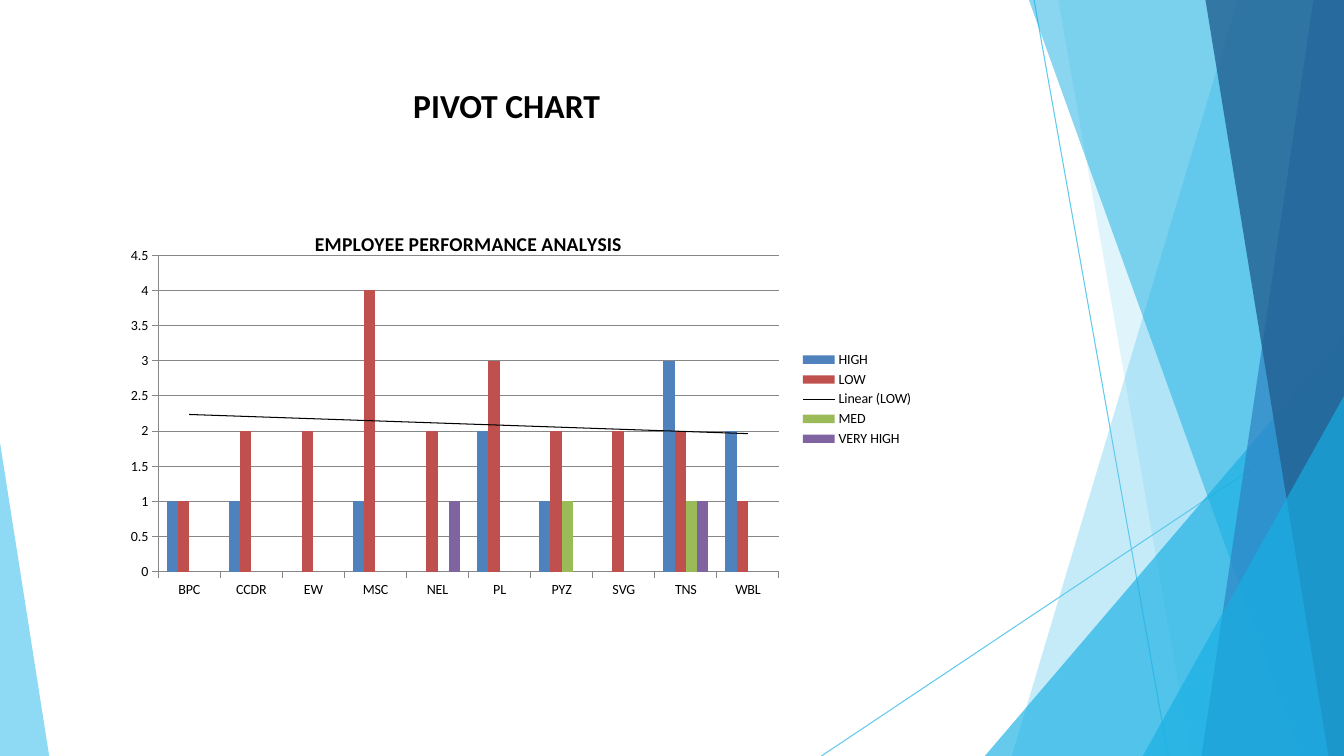
from lxml.etree import fromstring
from pptx import Presentation
from pptx.chart.data import CategoryChartData
from pptx.dml.color import RGBColor
from pptx.enum.chart import XL_CHART_TYPE, XL_LEGEND_POSITION, XL_TICK_MARK
from pptx.enum.shapes import MSO_CONNECTOR
from pptx.enum.text import MSO_ANCHOR, MSO_AUTO_SIZE, PP_ALIGN
from pptx.oxml import parse_xml
from pptx.oxml.ns import nsdecls, qn
from pptx.util import Cm, Pt

W, H = 33.87, 19.05
SKY, CYAN, BLUE, NAVY = "5FCAEE", "17AFE3", "2D83C3", "226192"

RIGHT_FACETS = [
    ((31.19, 0), 25.5, SKY, 36),
    ((26.67, 0), 30.02, SKY, 20),
    ((W, 8.46), 24.82, CYAN, 66),
    ((25.93, 0), 32.79, CYAN, 50),
    ((33.1, 0), 30.28, BLUE, 70),
    ((30.38, 0), 33.48, NAVY, 80),
    ((W, 9.98), 28.8, CYAN, 66),
]

CATEGORIES = ["BPC", "CCDR", "EW", "MSC", "NEL", "PL", "PYZ", "SVG", "TNS", "WBL"]
SERIES = [
    ("HIGH", "4F81BD", [1, 1, None, 1, None, 2, 1, None, 3, 2]),
    ("LOW", "C0504D", [1, 2, 2, 4, 2, 3, 2, 2, 2, 1]),
    ("MED", "9BBB59", [None] * 6 + [1, None, 1, None]),
    ("VERY HIGH", "8064A2", [None] * 4 + [1, None, None, None, 1, None]),
]


def rgb(color):
    return RGBColor.from_string(color)


def manual_layout(x, y, w=None, h=None, inner=False):
    parts = ['<c:layoutTarget val="inner"/>'] if inner else []
    parts += [f'<c:{k}Mode val="edge"/>' for k in "xy"]
    parts += [f'<c:{k} val="{v}"/>' for k, v in zip("xywh", (x, y, w, h)) if v is not None]
    return parse_xml(
        f'<c:layout {nsdecls("c")}><c:manualLayout>{"".join(parts)}</c:manualLayout></c:layout>'
    )


class SlideBuilder:
    font = "Calibri"
    ink = "000000"
    grid = "878787"

    def __init__(self, slide):
        self.s = slide

    def style(self, font, size, bold):
        font.name, font.size, font.bold = self.font, Pt(size), bold
        font.color.rgb = rgb(self.ink)

    def facet(self, points, color, opacity):
        points = [(Cm(x), Cm(y)) for x, y in points]
        builder = self.s.shapes.build_freeform(*points[0])
        builder.add_line_segments(points[1:], close=True)
        sp = builder.convert_to_shape()
        sp.shadow.inherit = False
        sp.fill.solid()
        sp.fill.fore_color.rgb = rgb(color)
        sp.line.fill.background()
        clr = sp._element.spPr.find(f'{qn("a:solidFill")}/{qn("a:srgbClr")}')
        clr.append(parse_xml(f'<a:alpha {nsdecls("a")} val="{opacity * 1000}"/>'))

    def line(self, x1, y1, x2, y2):
        cx = self.s.shapes.add_connector(MSO_CONNECTOR.STRAIGHT, Cm(x1), Cm(y1), Cm(x2), Cm(y2))
        cx.line.color.rgb = rgb(SKY)
        cx.line.width = Pt(0.75)
        cx._element.spPr.append(parse_xml(f'<a:effectLst {nsdecls("a")}/>'))

    def title(self, text, x, y, w, h):
        sp = self.s.shapes.title
        sp.left, sp.top, sp.width, sp.height = Cm(x), Cm(y), Cm(w), Cm(h)
        tf = sp.text_frame
        tf.text = text
        tf.word_wrap = True
        tf.auto_size = MSO_AUTO_SIZE.NONE
        tf.vertical_anchor = MSO_ANCHOR.MIDDLE
        p = tf.paragraphs[0]
        p.alignment = PP_ALIGN.LEFT
        self.style(p.runs[0].font, 24, True)

    def chart(self, title, x, y, w, h):
        data = CategoryChartData()
        data.categories = CATEGORIES
        for name, _, values in SERIES:
            data.add_series(name, values)
        chart = self.s.shapes.add_chart(
            XL_CHART_TYPE.COLUMN_CLUSTERED, Cm(x), Cm(y), Cm(w), Cm(h), data
        ).chart
        self.style(chart.font, 10, False)
        self.chart_title(chart, title)
        self.axes(chart)
        chart.has_legend = True
        chart.legend.position = XL_LEGEND_POSITION.RIGHT
        chart.legend.include_in_layout = False
        plot = chart.plots[0]
        plot.vary_by_categories = False
        plot.gap_width = 150
        for ser, (_, color, _) in zip(plot.series, SERIES):
            ser.format.fill.solid()
            ser.format.fill.fore_color.rgb = rgb(color)
        self.trend(plot.series[1])
        self.place(chart._chartSpace.chart.plotArea, 0, manual_layout(0.05, 0.15, 0.77, 0.77, True))

    def place(self, element, index, layout):
        for old in element.findall(qn("c:layout")):
            element.remove(old)
        element.insert(index, layout)

    def chart_title(self, chart, text):
        chart.has_title = True
        tf = chart.chart_title.text_frame
        tf.text = text
        self.style(tf.paragraphs[0].runs[0].font, 14, True)
        element = chart._chartSpace.chart.find(qn("c:title"))
        self.place(element, 1, manual_layout(0.24, 0.08))
        element.find(qn("c:overlay")).set("val", "1")

    def axes(self, chart):
        for axis in (chart.category_axis, chart.value_axis):
            axis.major_tick_mark = XL_TICK_MARK.OUTSIDE
            axis.minor_tick_mark = XL_TICK_MARK.NONE
            axis.format.line.color.rgb = rgb(self.grid)
        axis = chart.value_axis
        axis.minimum_scale, axis.maximum_scale, axis.major_unit = 0, 4.5, 0.5
        axis.has_major_gridlines = True
        axis.major_gridlines.format.line.color.rgb = rgb(self.grid)

    def trend(self, ser):
        ser._element.find(qn("c:cat")).addprevious(parse_xml(
            f'<c:trendline {nsdecls("c", "a")}><c:spPr><a:ln w="9525"><a:solidFill>'
            f'<a:srgbClr val="{self.ink}"/></a:solidFill></a:ln></c:spPr>'
            '<c:trendlineType val="linear"/><c:dispRSqr val="0"/><c:dispEq val="0"/>'
            '</c:trendline>'
        ))


def main():
    prs = Presentation()
    prs.slide_width, prs.slide_height = Cm(W), Cm(H)
    b = SlideBuilder(prs.slides.add_slide(prs.slide_layouts[5]))
    b.line(26.06, 0, 29.44, H)
    b.line(W, 10.26, 20.7, H)
    for top, bottom_x, color, opacity in RIGHT_FACETS:
        b.facet([(W, top[1]), top, (bottom_x, H), (W, H)], color, opacity)
    b.facet([(0, 11.15), (0, H), (1.24, H)], SKY, 70)
    b.chart("EMPLOYEE PERFORMANCE ANALYSIS", 2.97, 4.88, 20.32, 10.36)
    b.title("PIVOT CHART", 10.16, 2.01, 8.69, 1.27)
    prs.save("out.pptx")


if __name__ == "__main__":
    main()
